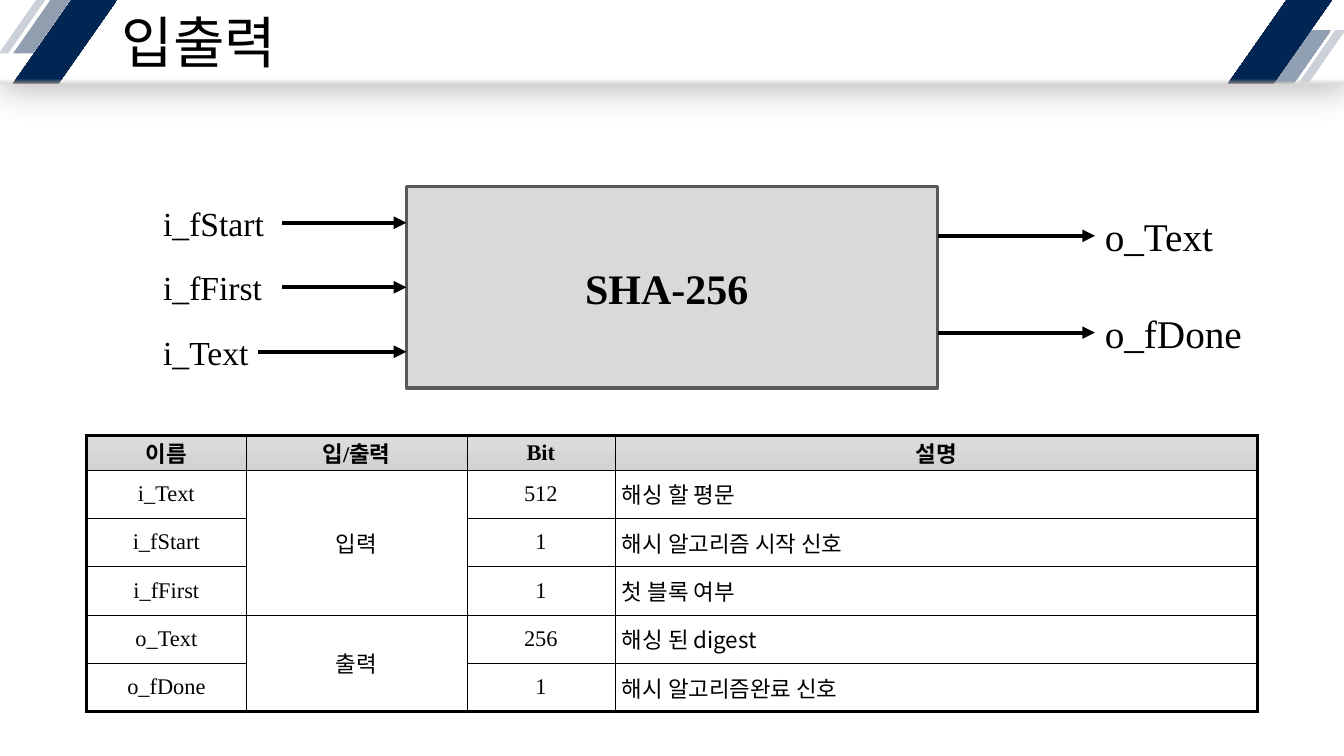
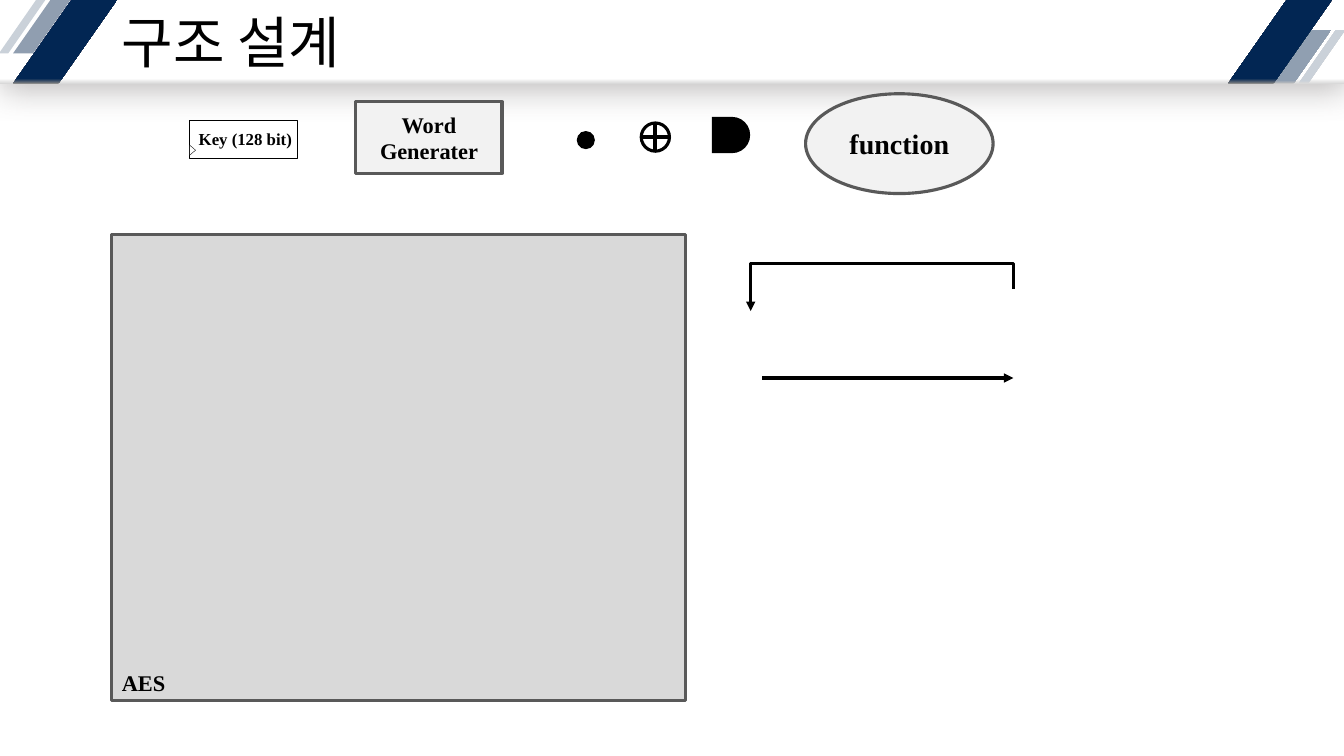
from dataclasses import dataclass

from lxml import etree
from pptx import Presentation
from pptx.dml.color import RGBColor
from pptx.enum.shapes import MSO_CONNECTOR, MSO_SHAPE
from pptx.enum.text import MSO_ANCHOR, MSO_AUTO_SIZE, PP_ALIGN
from pptx.oxml.ns import qn
from pptx.util import Inches, Pt

RECTANGLE = MSO_SHAPE.RECTANGLE
PARALLELOGRAM = MSO_SHAPE.PARALLELOGRAM
ELLIPSE = MSO_SHAPE.OVAL
TRIANGLE = MSO_SHAPE.ISOSCELES_TRIANGLE
GATE = MSO_SHAPE.ROUND_2_SAME_RECTANGLE
STRAIGHT, ELBOW = MSO_CONNECTOR.STRAIGHT, MSO_CONNECTOR.ELBOW
LEFT, CENTER = PP_ALIGN.LEFT, PP_ALIGN.CENTER
MIDDLE, BOTTOM = MSO_ANCHOR.MIDDLE, MSO_ANCHOR.BOTTOM
LEFT_SIDE = 1


@dataclass(frozen=True)
class Theme:
    font: str = "Times New Roman"
    korean_font: str = "Noto Sans CJK KR"
    black: str = "000000"
    white: str = "FFFFFF"
    navy: str = "022653"
    slate: str = "7A8BA1"
    steel: str = "909FB1"
    mist: str = "CAD1D9"
    shadow: str = "767171"
    block: str = "D9D9D9"
    node: str = "F2F2F2"
    outline: str = "595959"
    title: int = 40
    block_name: int = 30
    output: int = 28
    input: int = 24
    function: int = 20
    text: int = 16
    small: int = 12
    thin: float = 0.25
    medium: float = 2.25
    thick: float = 3


THEME = Theme()
MARGINS = (0.1, 0.05, 0.1, 0.05)
BLOCK_MARGINS = (0.1, 0.05, 0.2, 0.05)

COLUMN_WIDTHS = (1.58, 2.19, 1.47, 6.37)
HEADER_HEIGHT, ROW_HEIGHT = 0.34, 0.48
SIGNALS = (
    ("이름", "입/출력", "Bit", "설명"),
    ("i_Text", "입력", "512", "해싱 할 평문"),
    ("i_fStart", "", "1", "해시 알고리즘 시작 신호"),
    ("i_fFirst", "", "1", "첫 블록 여부"),
    ("o_Text", "출력", "256", "해싱 된 digest"),
    ("o_fDone", "", "1", "해시 알고리즘완료 신호"),
)


def rgb(color):
    return RGBColor.from_string(color)


def fill_solid(fill, color):
    fill.solid()
    fill.fore_color.rgb = rgb(color)


def fill_gradient(fill, stops, angle):
    """Fill with two (position, colour) stops."""
    fill.gradient()
    fill.gradient_angle = angle
    for stop, (position, color) in zip(fill.gradient_stops, stops):
        stop.position = position
        stop.color.rgb = rgb(color)


def set_margins(frame, margins):
    left, top, right, bottom = map(Inches, margins)
    frame.margin_left, frame.margin_top = left, top
    frame.margin_right, frame.margin_bottom = right, bottom


def format_paragraphs(frame, size, bold=False, align=LEFT, font=THEME.font):
    for paragraph in frame.paragraphs:
        paragraph.alignment = align
        paragraph.font.name = font
        paragraph.font.size = Pt(size)
        paragraph.font.bold = bold
        paragraph.font.color.rgb = rgb(THEME.black)


def add_shape(slide, kind, box, fill=None, line=None, width=THEME.medium, rotation=0):
    shape = slide.shapes.add_shape(kind, *map(Inches, box))
    shape.shadow.inherit = False
    shape.rotation = rotation
    if fill:
        fill_solid(shape.fill, fill)
    else:
        shape.fill.background()
    if line:
        shape.line.color.rgb = rgb(line)
        shape.line.width = Pt(width)
    else:
        shape.line.fill.background()
    return shape


def label_shape(shape, text, size, align=CENTER, anchor=MIDDLE, margins=MARGINS):
    frame = shape.text_frame
    frame.text = text
    frame.vertical_anchor = anchor
    set_margins(frame, margins)
    format_paragraphs(frame, size, True, align)


def add_label(slide, text, left, middle, width, height, size):
    """Add a text box centred vertically on middle."""
    box = slide.shapes.add_textbox(
        Inches(left), Inches(middle - height / 2), Inches(width), Inches(height))
    frame = box.text_frame
    frame.text = text
    frame.word_wrap = True
    format_paragraphs(frame, size)


def add_line(slide, start, end, width=THEME.thick, arrow=True, kind=STRAIGHT):
    connector = slide.shapes.add_connector(kind, *map(Inches, (*start, *end)))
    connector.line.color.rgb = rgb(THEME.black)
    connector.line.width = Pt(width)
    properties = connector.element.spPr
    if arrow:
        etree.SubElement(properties.find(qn("a:ln")), qn("a:tailEnd"), type="triangle")
    etree.SubElement(properties, qn("a:effectLst"))
    return connector


def add_band_shadow(band):
    effects = band.element.spPr.find(qn("a:effectLst"))
    shadow = etree.SubElement(
        effects, qn("a:outerShdw"), blurRad=str(Pt(24)), dist=str(Pt(3)),
        dir=str(80 * 60000), algn="t", rotWithShape="0")
    color = etree.SubElement(shadow, qn("a:srgbClr"), val=THEME.shadow)
    etree.SubElement(color, qn("a:alpha"), val="50000")


def add_stripe(slide, box, slant, color, edge=None):
    """Add a slanted stripe; edge is the shade along its bottom."""
    stripe = add_shape(slide, PARALLELOGRAM, box, color)
    stripe.adjustments[0] = slant
    if edge:
        fill_gradient(stripe.fill, ((0, edge), (0.06, color)), 90)
    return stripe


def design_layout(layout, slide):
    """Give the layout its title place, header band and stripes.

    Shapes can only be added to a slide, so they are made there and moved.
    """
    for placeholder in list(layout.placeholders)[1:]:
        placeholder.element.getparent().remove(placeholder.element)
    title = layout.placeholders[0]
    title.left, title.top = Inches(0.15), Inches(0)
    title.width, title.height = Inches(8.76), Inches(0.83)
    title.text_frame.vertical_anchor = MIDDLE
    title.text_frame.auto_size = MSO_AUTO_SIZE.NONE
    set_margins(title.text_frame, (1.06, 0.12, 1.06, 0.04))

    band = add_shape(slide, RECTANGLE, (0, 0, 13.33, 0.83), THEME.white)
    fill_gradient(band.fill, ((0, THEME.block), (0.06, THEME.white)), 90)
    add_band_shadow(band)
    faded = add_stripe(slide, (0.13, 0, 0.57, 0.53), 0.7, THEME.slate)
    color = faded.element.spPr.find(qn("a:solidFill"))[0]
    etree.SubElement(color, qn("a:alpha"), val="83000")
    shapes = [
        band,
        faded,
        add_stripe(slide, (0.13, 0, 1.03, 0.83), 0.7, THEME.navy, "808080"),
        add_stripe(slide, (-0.01, 0, 0.46, 0.53), 0.8, THEME.mist),
        add_stripe(slide, (12.63, 0.3, 0.57, 0.53), 0.7, THEME.steel, "BFBFBF"),
        add_stripe(slide, (12.18, 0, 1.03, 0.83), 0.7, THEME.navy, "808080"),
        add_stripe(slide, (12.88, 0.3, 0.46, 0.53), 0.8, THEME.mist, THEME.block),
    ]
    for position, shape in enumerate(shapes, start=2):
        layout.shapes.element.insert(position, shape.element)


def set_title(slide, text):
    frame = slide.shapes.title.text_frame
    frame.text = text
    format_paragraphs(frame, THEME.title)
    frame.paragraphs[0].line_spacing = 0.9


def set_borders(cell, widths):
    """Set left, right, top and bottom border widths, in that order."""
    properties = cell._tc.get_or_add_tcPr()
    for index, (side, width) in enumerate(zip(("lnL", "lnR", "lnT", "lnB"), widths)):
        border = etree.Element(qn("a:" + side), w=str(Pt(width)))
        fill = etree.SubElement(border, qn("a:solidFill"))
        etree.SubElement(fill, qn("a:srgbClr"), val=THEME.black)
        properties.insert(index, border)


def format_signal_cell(cell, header, description):
    cell.vertical_anchor = MIDDLE
    set_margins(cell, (0.07 if description else 0, 0, 0, 0))
    format_paragraphs(
        cell.text_frame, THEME.text, header,
        LEFT if description else CENTER,
        THEME.korean_font if description else THEME.font)
    if header:
        fill_gradient(cell.fill, ((0, "DDDDDD"), (1, "D2D2D2")), 270)
    else:
        fill_solid(cell.fill, THEME.white)


def add_signal_table(slide):
    row_count, column_count = len(SIGNALS), len(COLUMN_WIDTHS)
    height = HEADER_HEIGHT + ROW_HEIGHT * (row_count - 1)
    table = slide.shapes.add_table(
        row_count, column_count, Inches(0.86), Inches(4.32),
        Inches(sum(COLUMN_WIDTHS)), Inches(height)).table
    table.first_row = table.horz_banding = False
    for column, width in zip(table.columns, COLUMN_WIDTHS):
        column.width = Inches(width)
    for index, row in enumerate(table.rows):
        row.height = Inches(ROW_HEIGHT if index else HEADER_HEIGHT)
    for first, last in ((1, 3), (4, 5)):
        table.cell(first, 1).merge(table.cell(last, 1))

    for row, texts in enumerate(SIGNALS):
        for column, text in enumerate(texts):
            cell = table.cell(row, column)
            cell.text = text
            header = row == 0
            format_signal_cell(cell, header, column == 3 and not header)
            outer = (column == 0, column == column_count - 1, header,
                     row + cell.span_height == row_count)
            set_borders(cell, [THEME.medium if edge else THEME.thin for edge in outer])


def build_ports_slide(slide):
    set_title(slide, "입출력")
    left, top, width, height = box = (4.03, 1.85, 5.27, 2)
    right, center = left + width, top + height / 2
    block = add_shape(slide, RECTANGLE, box, THEME.block, THEME.outline)
    label_shape(block, "SHA-256", THEME.block_name, margins=BLOCK_MARGINS)

    inputs = (("i_fStart", 2.8, -0.64), ("i_fFirst", 2.8, 0), ("i_Text", 2.56, 0.64))
    for name, start, offset in inputs:
        y = center + offset
        add_label(slide, name, 1.52, y, 1.3, 0.5, THEME.input)
        arrow = add_line(slide, (start, y), (left, y))
        if offset == 0:
            arrow.end_connect(block, LEFT_SIDE)
    for name, y in (("o_Text", 2.34), ("o_fDone", 3.3)):
        add_line(slide, (right, y), (10.86, y))
        add_label(slide, name, 10.86, y, 1.7, 0.57, THEME.output)
    add_signal_table(slide)


def add_xor(slide, x, y, radius):
    add_shape(slide, ELLIPSE, (x - radius, y - radius, 2 * radius, 2 * radius),
              line=THEME.black)
    add_line(slide, (x - radius, y), (x + radius, y), arrow=False)
    add_line(slide, (x, y + radius), (x, y - radius), arrow=False)


def add_feedback_arrow(slide):
    """Add an elbow arrow that runs up, left and down, as a turned connector."""
    arrow = add_line(slide, (8.86, 4.28), (8.64, 1.67), THEME.medium, kind=ELBOW)
    arrow.rotation = 270
    guides = arrow.element.spPr.find(qn("a:prstGeom")).get_or_add_avLst()
    etree.SubElement(guides, qn("a:gd"), name="adj1", fmla="val -115500")


def build_structure_slide(slide):
    set_title(slide, "구조 설계")
    block = add_shape(slide, RECTANGLE, (1.11, 2.33, 5.69, 4.62), THEME.block, THEME.outline)
    label_shape(block, "AES", THEME.text, LEFT, BOTTOM, BLOCK_MARGINS)
    generator = add_shape(slide, RECTANGLE, (3.53, 1.01, 1.45, 0.71), THEME.node, THEME.outline)
    label_shape(generator, "Word\nGenerater", THEME.text)

    key = add_shape(slide, RECTANGLE, (1.88, 1.19, 1.07, 0.38),
                    THEME.white, THEME.black, THEME.thin)
    label_shape(key, "Key (128 bit)", THEME.small, margins=(0.1, 0.05, 0.06, 0.05))
    key.text_frame.word_wrap = False
    add_shape(slide, TRIANGLE, (1.86, 1.46, 0.1, 0.06),
              THEME.white, THEME.black, THEME.thin, rotation=90)

    add_shape(slide, ELLIPSE, (5.72, 1.3, 0.18, 0.18), THEME.black)
    add_xor(slide, 6.5, 1.36, 0.14)
    gate = add_shape(slide, GATE, (7.07, 1.15, 0.36, 0.38), THEME.black, rotation=90)
    gate.adjustments[0] = 0.5
    function = add_shape(slide, ELLIPSE, (7.99, 0.93, 1.86, 0.99), THEME.node, THEME.outline)
    label_shape(function, "function", THEME.function)

    add_line(slide, (7.56, 3.75), (10.05, 3.75), THEME.medium)
    add_feedback_arrow(slide)


def main():
    presentation = Presentation()
    presentation.slide_width, presentation.slide_height = Inches(13.33), Inches(7.5)
    layout = presentation.slide_layouts.get_by_name("Title Only")
    ports, structure = (presentation.slides.add_slide(layout) for _ in range(2))
    design_layout(layout, ports)
    build_ports_slide(ports)
    build_structure_slide(structure)
    presentation.save("out.pptx")


if __name__ == "__main__":
    main()
